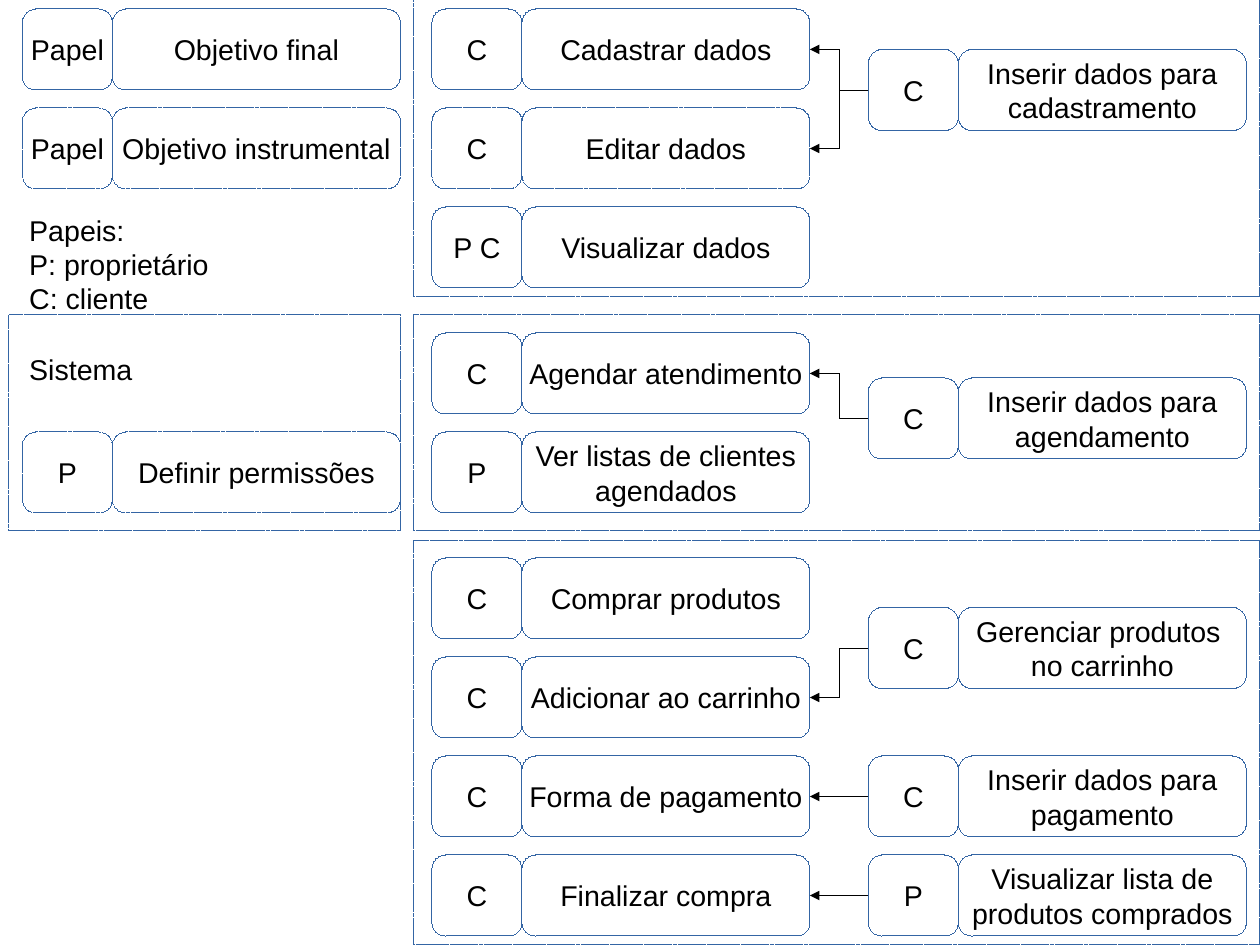
"""Build a goal diagram that pairs user roles with their system goals."""
from dataclasses import dataclass

from lxml import etree
from pptx import Presentation
from pptx import util as u
from pptx.dml.color import RGBColor
from pptx.enum import dml, shapes, text
from pptx.oxml import ns

BLUE = RGBColor(0x34, 0x65, 0xA4)
BLACK = RGBColor(0, 0, 0)
FONT_NAME, FONT_SIZE = "Arial", 18

LEGEND_X, GOAL_X, TASK_X = 14.17, 272.13, 547.09
ROLE_WIDTH, GOAL_WIDTH, HEIGHT = 56.69, 181.42, 51.02
ROW_STEP = 62.36
FIRST_TOP, SCHEDULE_TOP, PURCHASE_TOP = 5.67, 209.76, 351.5


@dataclass(frozen=True)
class Panel:
    left: float
    top: float
    width: float
    height: float


@dataclass(frozen=True)
class Goal:
    role: str
    label: str
    left: float
    top: float
    dashed: bool = False
    targets: tuple[str, ...] = ()


@dataclass(frozen=True)
class Note:
    label: str
    top: float
    height: float


PANELS = (
    Panel(260.79, 0, 532.91, 187.09),
    Panel(260.79, 198.43, 532.91, 136.06),
    Panel(260.79, 340.16, 532.91, 255.09),
    Panel(5.67, 198.43, 246.61, 136.06),
)

GOALS = (
    Goal("Papel", "Objetivo final", LEGEND_X, FIRST_TOP),
    Goal("Papel", "Objetivo instrumental", LEGEND_X, FIRST_TOP + ROW_STEP, True),
    Goal("P", "Definir permissões", LEGEND_X, SCHEDULE_TOP + ROW_STEP, True),
    Goal("C", "Cadastrar dados", GOAL_X, FIRST_TOP),
    Goal("C", "Editar dados", GOAL_X, FIRST_TOP + ROW_STEP, True),
    Goal("P C", "Visualizar dados", GOAL_X, FIRST_TOP + 2 * ROW_STEP),
    Goal("C", "Agendar atendimento", GOAL_X, SCHEDULE_TOP),
    Goal("P", "Ver listas de clientes\nagendados", GOAL_X, SCHEDULE_TOP + ROW_STEP),
    Goal("C", "Comprar produtos", GOAL_X, PURCHASE_TOP),
    Goal("C", "Adicionar ao carrinho", GOAL_X, PURCHASE_TOP + ROW_STEP),
    Goal("C", "Forma de pagamento", GOAL_X, PURCHASE_TOP + 2 * ROW_STEP),
    Goal("C", "Finalizar compra", GOAL_X, PURCHASE_TOP + 3 * ROW_STEP),
    Goal("C", "Inserir dados para\ncadastramento", TASK_X, 31.18,
         targets=("Cadastrar dados", "Editar dados")),
    Goal("C", "Inserir dados para\nagendamento", TASK_X, 238.11,
         targets=("Agendar atendimento",)),
    Goal("C", "Gerenciar produtos \nno carrinho", TASK_X, 382.68,
         targets=("Adicionar ao carrinho",)),
    Goal("C", "Inserir dados para\npagamento", TASK_X, PURCHASE_TOP + 2 * ROW_STEP,
         targets=("Forma de pagamento",)),
    Goal("P", "Visualizar lista de\nprodutos comprados", TASK_X,
         PURCHASE_TOP + 3 * ROW_STEP, targets=("Finalizar compra",)),
)

NOTES = (
    Note("Papeis:\nP: proprietário\nC: cliente", 130.39, 67.7),
    Note("Sistema", 218.27, 27.4),
)


def write(frame, label: str, alignment) -> None:
    frame.text = label
    for paragraph in frame.paragraphs:
        paragraph.alignment = alignment
        paragraph.font.name = FONT_NAME
        paragraph.font.size = u.Pt(FONT_SIZE)
        paragraph.font.color.rgb = BLACK


def set_hairline(line, color: RGBColor):
    line.color.rgb = color
    element = line._get_or_add_ln()
    element.set("w", "0")
    return element


def add_outline(slide, kind, left: float, top: float, width: float, height: float,
                dashed: bool):
    shape = slide.shapes.add_shape(kind, u.Pt(left), u.Pt(top), u.Pt(width), u.Pt(height))
    shape.shadow.inherit = False
    shape.fill.background()
    set_hairline(shape.line, BLUE)
    if dashed:
        shape.line.dash_style = dml.MSO_LINE.SQUARE_DOT
    return shape


def add_box(slide, label: str, left: float, top: float, width: float, dashed: bool):
    box = add_outline(slide, shapes.MSO_SHAPE.ROUNDED_RECTANGLE,
                      left, top, width, HEIGHT, dashed)
    box.text_frame.word_wrap = False
    box.text_frame.vertical_anchor = text.MSO_ANCHOR.MIDDLE
    write(box.text_frame, label, text.PP_ALIGN.CENTER)
    return box


def add_note(slide, note: Note) -> None:
    box = slide.shapes.add_textbox(u.Pt(11.34), u.Pt(note.top), u.Pt(141.73), u.Pt(note.height))
    box.text_frame.word_wrap = True
    box.text_frame.auto_size = text.MSO_AUTO_SIZE.SHAPE_TO_FIT_TEXT
    write(box.text_frame, note.label, text.PP_ALIGN.LEFT)


def add_arrow(slide, source, target) -> None:
    arrow = slide.shapes.add_connector(shapes.MSO_CONNECTOR.ELBOW, 0, 0, 0, 0)
    arrow.begin_connect(source, 1)
    arrow.end_connect(target, 3)
    line = set_hairline(arrow.line, BLACK)
    etree.SubElement(line, ns.qn("a:tailEnd"), type="triangle")
    etree.SubElement(arrow._element.spPr, ns.qn("a:effectLst"))


def main() -> None:
    presentation = Presentation()
    presentation.slide_width, presentation.slide_height = u.Pt(793.75), u.Pt(595.25)
    slide = presentation.slides.add_slide(presentation.slide_layouts[6])

    for panel in PANELS:
        add_outline(slide, shapes.MSO_SHAPE.RECTANGLE, panel.left, panel.top,
                    panel.width, panel.height, True)
    goal_boxes = {}
    for goal in GOALS:
        role_box = add_box(slide, goal.role, goal.left, goal.top, ROLE_WIDTH, goal.dashed)
        goal_boxes[goal.label] = add_box(slide, goal.label, goal.left + ROLE_WIDTH,
                                         goal.top, GOAL_WIDTH, goal.dashed)
        for target in goal.targets:
            add_arrow(slide, role_box, goal_boxes[target])
    for note in NOTES:
        add_note(slide, note)

    presentation.save("out.pptx")


if __name__ == "__main__":
    main()
